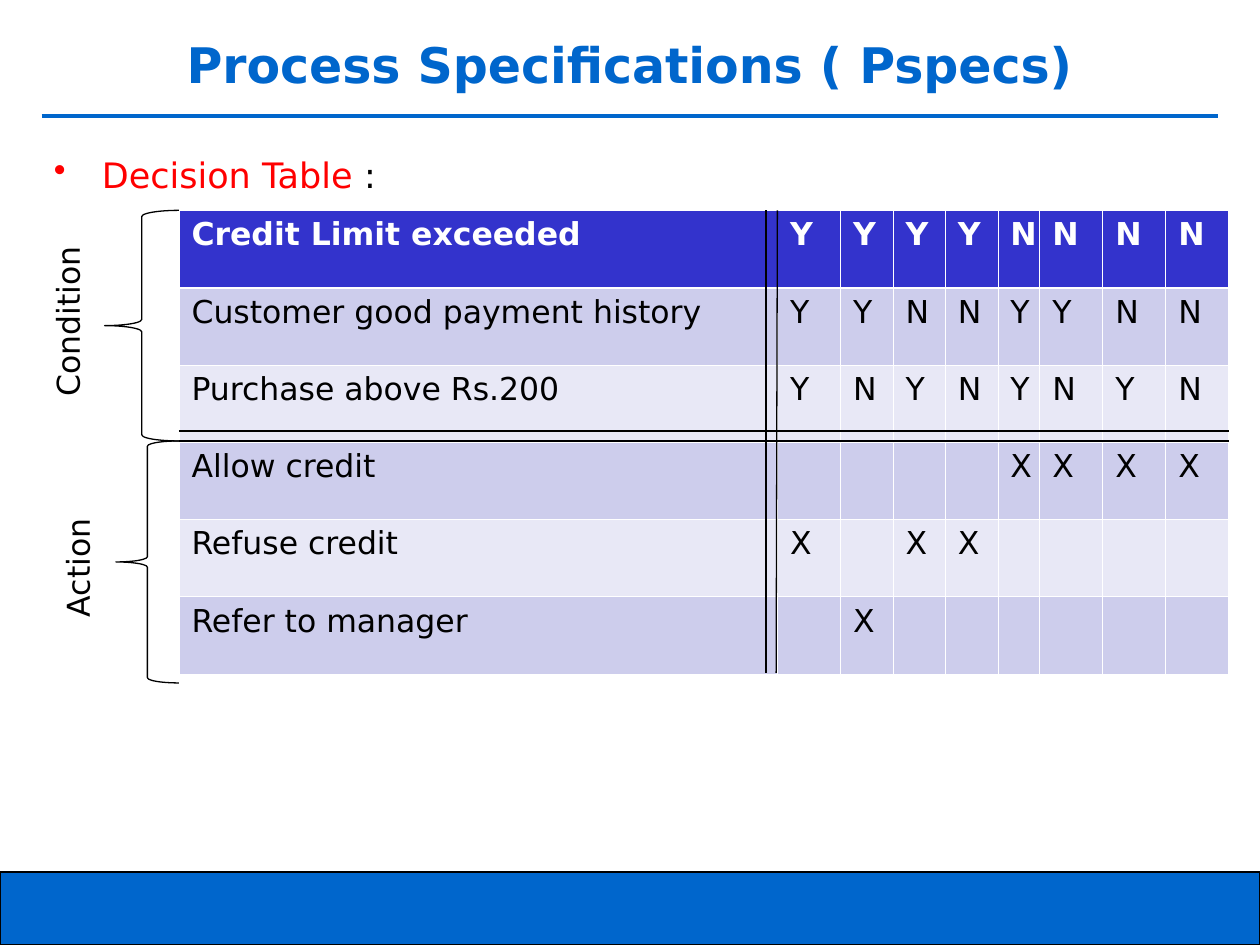
from dataclasses import dataclass
from typing import Any

from lxml.etree import SubElement
from pptx import Presentation
from pptx.dml.color import RGBColor
from pptx.enum.shapes import MSO_CONNECTOR, MSO_SHAPE
from pptx.enum.text import MSO_ANCHOR, MSO_AUTO_SIZE, PP_ALIGN
from pptx.oxml.ns import qn
from pptx.util import Inches, Pt

COLORS = {
    "blue": "0066CC",
    "red": "FF0000",
    "black": "000000",
    "white": "FFFFFF",
    "header": "3333CC",
    "dark_band": "CDCDEC",
    "light_band": "E8E8F6",
}
FONT = "DejaVu Sans"
TABLE_LEFT, TABLE_TOP, TABLE_WIDTH, TABLE_HEIGHT = 1.42, 1.67, 8.33, 3.68
COLUMN_TWELFTHS = (57, 6, 5, 5, 5, 4, 6, 6, 6)
ROWS = (
    ("Credit Limit exceeded", "YYYYNNNN"),
    ("Customer good payment history", "YYNNYYNN"),
    ("Purchase above Rs.200", "YNYNYNYN"),
    ("Allow credit", "----XXXX"),
    ("Refuse credit", "X-XX----"),
    ("Refer to manager", "-X------"),
)


@dataclass(frozen=True)
class Rule:
    start: tuple[float, float]
    end: tuple[float, float]
    color: str = "black"
    width: float = 0.75


@dataclass(frozen=True)
class Group:
    label: str
    label_left: float
    label_top: float
    brace_left: float
    brace_top: float
    brace_height: float


RULES = (
    Rule((0.33, 0.92), (9.67, 0.92), "blue", 2.25),
    Rule((6.17, 1.67), (6.16, 5.34)),
    Rule((6.08, 1.67), (6.08, 5.34)),
    Rule((1.42, 3.5), (9.75, 3.5)),
    Rule((1.42, 3.42), (9.75, 3.42)),
)
GROUPS = (
    Group("Condition", -0.63, 1.88, 0.83, 1.67, 1.83),
    Group("Action", -0.55, 3.63, 0.92, 3.5, 1.92),
)


def rgb(name: str) -> RGBColor:
    return RGBColor.from_string(COLORS[name])


def apply_format(target: Any, values: dict[str, Any]) -> None:
    for name, value in values.items():
        setattr(target, name, value)


def add_run(paragraph: Any, text: str, size: float, color: str, bold: bool = False) -> None:
    run = paragraph.add_run()
    run.text = text
    apply_format(run.font, {"name": FONT, "size": Pt(size), "bold": bold})
    run.font.color.rgb = rgb(color)


def add_text_box(slide: Any, left: float, top: float, width: float, height: float,
                 frame_format: dict[str, Any], paragraph_format: dict[str, Any]) -> Any:
    box = slide.shapes.add_textbox(Inches(left), Inches(top), Inches(width), Inches(height))
    apply_format(box.text_frame, {"word_wrap": True, **frame_format})
    apply_format(box.text_frame.paragraphs[0], paragraph_format)
    return box


def add_rule(slide: Any, rule: Rule) -> None:
    points = [Inches(value) for value in rule.start + rule.end]
    connector = slide.shapes.add_connector(MSO_CONNECTOR.STRAIGHT, *points)
    connector.line.color.rgb = rgb(rule.color)
    connector.line.width = Pt(rule.width)
    SubElement(connector._element.spPr, qn("a:effectLst"))


def add_outlined_shape(slide: Any, kind: MSO_SHAPE, left: float, top: float,
                       width: float, height: float) -> Any:
    shape = slide.shapes.add_shape(kind, Inches(left), Inches(top), Inches(width), Inches(height))
    shape.shadow.inherit = False
    shape.fill.background()
    shape.line.color.rgb = rgb("black")
    shape.line.width = Pt(0.75)
    return shape


def add_group(slide: Any, group: Group) -> None:
    add_outlined_shape(slide, MSO_SHAPE.LEFT_BRACE, group.brace_left, group.brace_top,
                       TABLE_LEFT - group.brace_left, group.brace_height)
    label = add_text_box(slide, group.label_left, group.label_top, 2.33, 0.4,
                         {"auto_size": MSO_AUTO_SIZE.SHAPE_TO_FIT_TEXT},
                         {"space_before": Pt(16.9), "space_after": Pt(5.6)})
    label.rotation = 270
    add_run(label.text_frame.paragraphs[0], group.label, 18, "black")


def set_borders(cell: Any, widths: dict[str, float]) -> None:
    properties = cell._tc.get_or_add_tcPr()
    for side, width in widths.items():
        line = SubElement(properties, qn(f"a:ln{side}"), w=str(Pt(width)))
        fill = SubElement(line, qn("a:solidFill"))
        SubElement(fill, qn("a:srgbClr"), val=COLORS["white"])


def add_decision_table(slide: Any) -> None:
    frame = slide.shapes.add_table(len(ROWS), len(COLUMN_TWELFTHS), Inches(TABLE_LEFT),
                                   Inches(TABLE_TOP), Inches(TABLE_WIDTH), Inches(TABLE_HEIGHT))
    table = frame.table
    for column, twelfths in zip(table.columns, COLUMN_TWELFTHS):
        column.width = Inches(twelfths / 12)
    for index, (name, marks) in enumerate(ROWS):
        table.rows[index].height = Inches(TABLE_HEIGHT / len(ROWS))
        is_header = index == 0
        band = "header" if is_header else "dark_band" if index % 2 else "light_band"
        widths = {"L": 0.45, "R": 0.45, "T": 1.47 if index == 1 else 0.45,
                  "B": 1.47 if is_header else 0.45}
        for cell, text in zip(table.rows[index].cells, (name, *marks)):
            set_borders(cell, widths)
            cell.fill.solid()
            cell.fill.fore_color.rgb = rgb(band)
            if text != "-":
                add_run(cell.text_frame.paragraphs[0], text, 18,
                        "white" if is_header else "black", is_header)


def add_heading(slide: Any) -> None:
    title = add_text_box(slide, 0.33, 0.17, 9.33, 0.67,
                         {"vertical_anchor": MSO_ANCHOR.MIDDLE}, {"alignment": PP_ALIGN.CENTER})
    add_run(title.text_frame.paragraphs[0], "Process Specifications ( Pspecs)", 28, "blue", True)


def add_bullet(slide: Any) -> None:
    body = add_text_box(slide, 0.33, 1.17, 9.33, 5.58, {},
                        {"space_before": Pt(18.7), "space_after": Pt(6.2)})
    paragraph = body.text_frame.paragraphs[0]
    properties = paragraph._p.get_or_add_pPr()
    properties.set("marL", str(Inches(0.38)))
    properties.set("indent", str(-Inches(0.38)))
    bullet_color = SubElement(properties, qn("a:buClr"))
    SubElement(bullet_color, qn("a:srgbClr"), val=COLORS["red"])
    SubElement(properties, qn("a:buChar"), char="•")
    add_run(paragraph, "Decision Table ", 20, "red")
    add_run(paragraph, ":", 20, "black")


def main() -> None:
    presentation = Presentation()
    apply_format(presentation, {"slide_width": Inches(10), "slide_height": Inches(7.5)})
    slide = presentation.slides.add_slide(presentation.slide_layouts[6])
    footer = add_outlined_shape(slide, MSO_SHAPE.RECTANGLE, 0, 6.92, 10, 0.58)
    footer.fill.solid()
    footer.fill.fore_color.rgb = rgb("blue")
    add_heading(slide)
    add_bullet(slide)
    add_decision_table(slide)
    for rule in RULES:
        add_rule(slide, rule)
    for group in GROUPS:
        add_group(slide, group)
    presentation.save("out.pptx")


if __name__ == "__main__":
    main()
